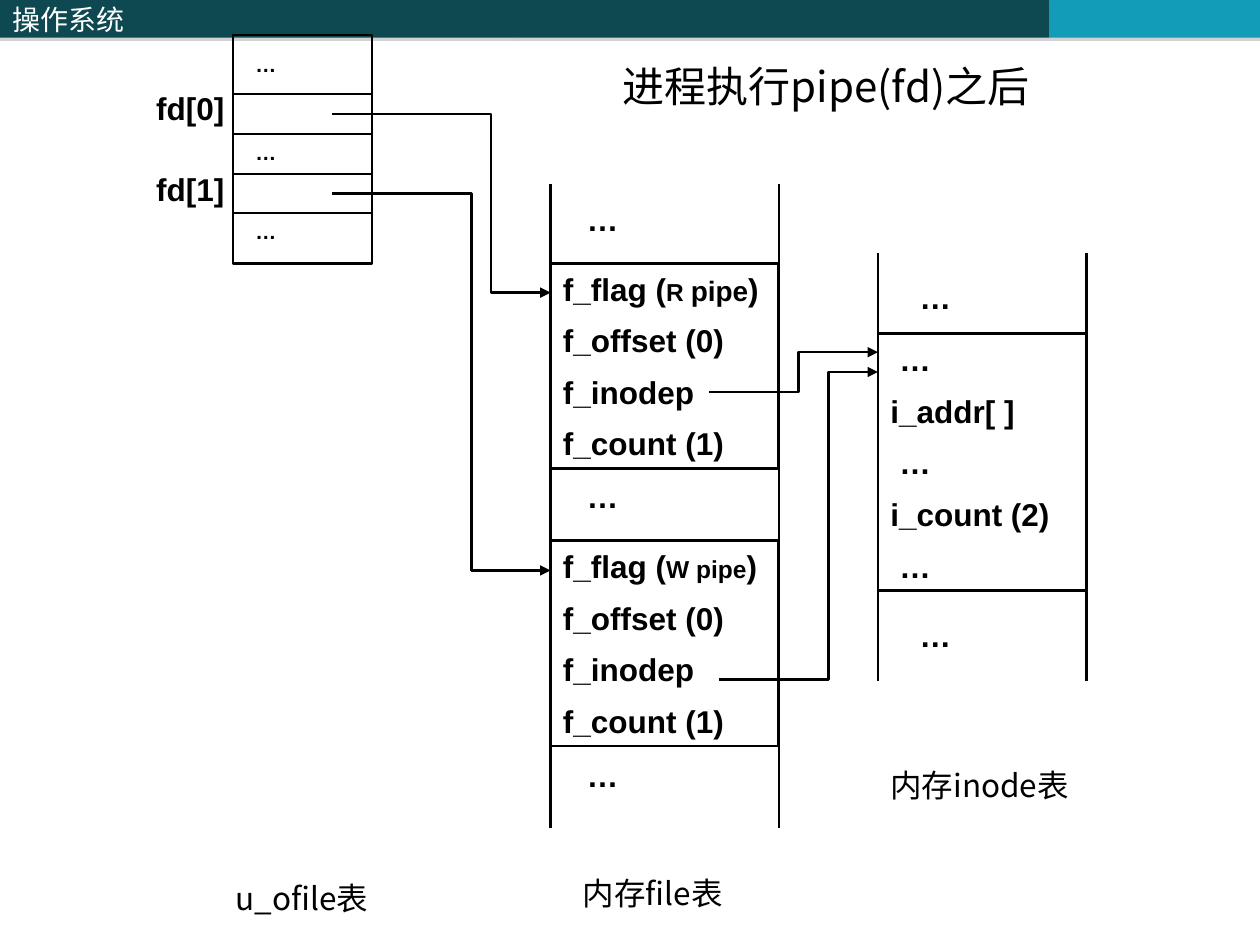
from lxml import etree
from pptx import Presentation
from pptx.dml.color import RGBColor
from pptx.enum import shapes, text
from pptx.oxml import parse_xml
from pptx.oxml.ns import nsdecls, qn
from pptx.util import Cm, Pt

BLACK, WHITE = "000000", "FFFFFF"
LATIN, CHINESE = "Arial", "Noto Sans CJK SC"
BOLD = {"name": LATIN, "size": 18, "bold": True, "color": BLACK}
SMALL = {**BOLD, "size": 12}
CAPTION = {"name": CHINESE, "size": 18, "bold": False, "color": BLACK}
TITLE = {**CAPTION, "size": 24}
HEADER = {**CAPTION, "size": 16, "color": WHITE}

# All positions and lengths are in centimetres.
bands = [(10.36, "0E4851", "操作系统"), (10.8, "0E4851", ""), (4.24, "139CB7", "")]
band_height = 0.76

ofile = {"left": 4.7, "top": 0.71, "width": 2.8, "height": 4.6}
ofile_first_rule, ofile_row, ofile_rules = 1.9, 0.8, 4

# Each entry: top, height, and its lines as (indent, [(text, size), ...])
file_fields = [(0, [(field, 18)]) for field in ("f_offset (0)", "f_inodep", "f_count (1)")]
file_table = {
    "left": 11.1, "width": 4.6, "top": 3.71, "bottom": 16.69,
    "entries": [
        (5.31, 4.14, [(0, [("f_flag (", 18), ("R ", 14), ("pipe", 16), (")", 18)])] + file_fields),
        (10.9, 4.14, [(0, [("f_flag (", 18), ("W pipe", 14), (")", 18)])] + file_fields),
    ],
}
gap = (0.18, [("…", 18)])
inode_table = {
    "left": 17.7, "width": 4.2, "top": 5.11, "bottom": 13.72,
    "entries": [
        (6.73, 5.18, [gap, (0, [("i_addr[ ]", 18)]), gap, (0, [("i_count (2)", 18)]), gap]),
    ],
}

# left, top, width, height, text, format
labels = [
    *[(18.29, top, 2.4, 1.02, "…", BOLD) for top in (5.49, 12.29)],
    *[(11.58, top, 2.67, 1.02, "…", BOLD) for top in (3.91, 9.5, 15.11)],
    *[(4.9, top, 2.2, 0.76, "…", SMALL) for top in (0.91, 2.69, 4.29)],
    (2.9, 1.68, 2, 1.02, "fd[0]", BOLD),
    (2.9, 3.3, 2, 1.02, "fd[1]", BOLD),
    (4.5, 17.6, 4.2, 1.02, "u_ofile表", CAPTION),
    (11.5, 17.5, 4.2, 1.02, "内存file表", CAPTION),
    (17.7, 15.32, 4.9, 1.02, "内存inode表", CAPTION),
]

# start x, start y, bend x, end x, end y
pointers = [
    (6.7, 2.3, 9.9, 11.1, 5.9),
    (6.7, 3.9, 9.5, 11.1, 11.5),
    (14.5, 13.7, 16.7, 17.7, 7.5),
    (14.3, 7.9, 16.1, 17.7, 7.1),
]


def color(value):
    return RGBColor.from_string(value)


def write_runs(paragraph, runs, style):
    """Add (text, size) runs in one style, for Latin and Chinese letters alike."""
    for words, size in runs:
        run = paragraph.add_run()
        run.text = words
        for name, value in {**style, "size": Pt(size)}.items():
            if name == "color":
                run.font.color.rgb = color(value)
            else:
                setattr(run.font, name, value)
        east_asian = etree.SubElement(run._r.get_or_add_rPr(), qn("a:ea"))
        east_asian.set("typeface", style["name"])


def write_lines(shape, lines, style, space=0, anchor=text.MSO_ANCHOR.TOP):
    frame = shape.text_frame
    frame.word_wrap = True
    frame.auto_size = text.MSO_AUTO_SIZE.NONE
    frame.vertical_anchor = anchor
    for index, (indent, runs) in enumerate(lines):
        paragraph = frame.paragraphs[0] if index == 0 else frame.add_paragraph()
        paragraph.alignment = text.PP_ALIGN.LEFT
        paragraph.space_before = Pt(space if index else 0)
        if indent:
            paragraph._p.get_or_add_pPr().set("marL", str(Cm(indent)))
        write_runs(paragraph, runs, style)


def add_box(slide, left, top, width, height, fill=None):
    """Add a rectangle: filled without outline, or outlined without fill."""
    shape = slide.shapes.add_shape(
        shapes.MSO_SHAPE.RECTANGLE, Cm(left), Cm(top), Cm(width), Cm(height))
    shape.shadow.inherit = False
    if fill:
        shape.fill.solid()
        shape.fill.fore_color.rgb = color(fill)
        shape.line.fill.background()
    else:
        shape.fill.background()
        draw_line(shape)
    return shape


def draw_line(shape, width=1.5):
    shape.line.color.rgb = color(BLACK)
    shape.line.width = Pt(width)


def add_rule(slide, x1, y1, x2, y2, width=1.5):
    rule = slide.shapes.add_connector(
        shapes.MSO_CONNECTOR.STRAIGHT, Cm(x1), Cm(y1), Cm(x2), Cm(y2))
    draw_line(rule, width)
    etree.SubElement(rule._element.spPr, qn("a:effectLst"))


def add_header(slide):
    left = 0
    for width, fill, words in bands:
        band = add_box(slide, left, 0, width, band_height, fill)
        effects = band._element.spPr.find(qn("a:effectLst"))
        effects.append(parse_xml(
            f'<a:outerShdw {nsdecls("a")} blurRad="0" dist="{Pt(1.8)}" dir="5400000">'
            '<a:srgbClr val="808080"><a:alpha val="35000"/></a:srgbClr></a:outerShdw>'))
        if words:
            write_lines(band, [(0, [(words, HEADER["size"])])], HEADER,
                        anchor=text.MSO_ANCHOR.MIDDLE)
        left += width


def add_open_table(slide, table):
    """Draw two long side lines with the boxed entries between them."""
    for x in (table["left"], table["left"] + table["width"]):
        add_rule(slide, x, table["top"], x, table["bottom"])
    for top, height, lines in table["entries"]:
        box = add_box(slide, table["left"], top, table["width"], height)
        write_lines(box, lines, BOLD, space=7.9)


def add_ofile_table(slide):
    add_box(slide, **ofile)
    for index in range(ofile_rules):
        y = ofile_first_rule + index * ofile_row
        add_rule(slide, ofile["left"], y, ofile["left"] + ofile["width"], y, 1.25)


def add_pointer(slide, x1, y1, bend, x2, y2):
    builder = slide.shapes.build_freeform(Cm(x1), Cm(y1))
    corners = [(bend, y1), (bend, y2), (x2, y2)]
    builder.add_line_segments([(Cm(x), Cm(y)) for x, y in corners], close=False)
    pointer = builder.convert_to_shape()
    pointer.shadow.inherit = False
    pointer.fill.background()
    draw_line(pointer)
    etree.SubElement(pointer.line._get_or_add_ln(), qn("a:tailEnd")).set("type", "triangle")


def main():
    presentation = Presentation()
    presentation.slide_width, presentation.slide_height = Cm(25.4), Cm(19.05)
    slide = presentation.slides.add_slide(presentation.slide_layouts[5])
    title = slide.shapes.title
    title.left, title.top, title.width, title.height = Cm(12.3), Cm(1.1), Cm(11.2), Cm(1.27)
    write_lines(title, [(0, [("进程执行pipe(fd)之后", TITLE["size"])])], TITLE)

    add_header(slide)
    add_open_table(slide, inode_table)
    add_open_table(slide, file_table)
    add_ofile_table(slide)
    for left, top, width, height, words, style in labels:
        label = slide.shapes.add_textbox(Cm(left), Cm(top), Cm(width), Cm(height))
        write_lines(label, [(0, [(words, style["size"])])], style)
    for pointer in pointers:
        add_pointer(slide, *pointer)
    presentation.save("out.pptx")


if __name__ == "__main__":
    main()
